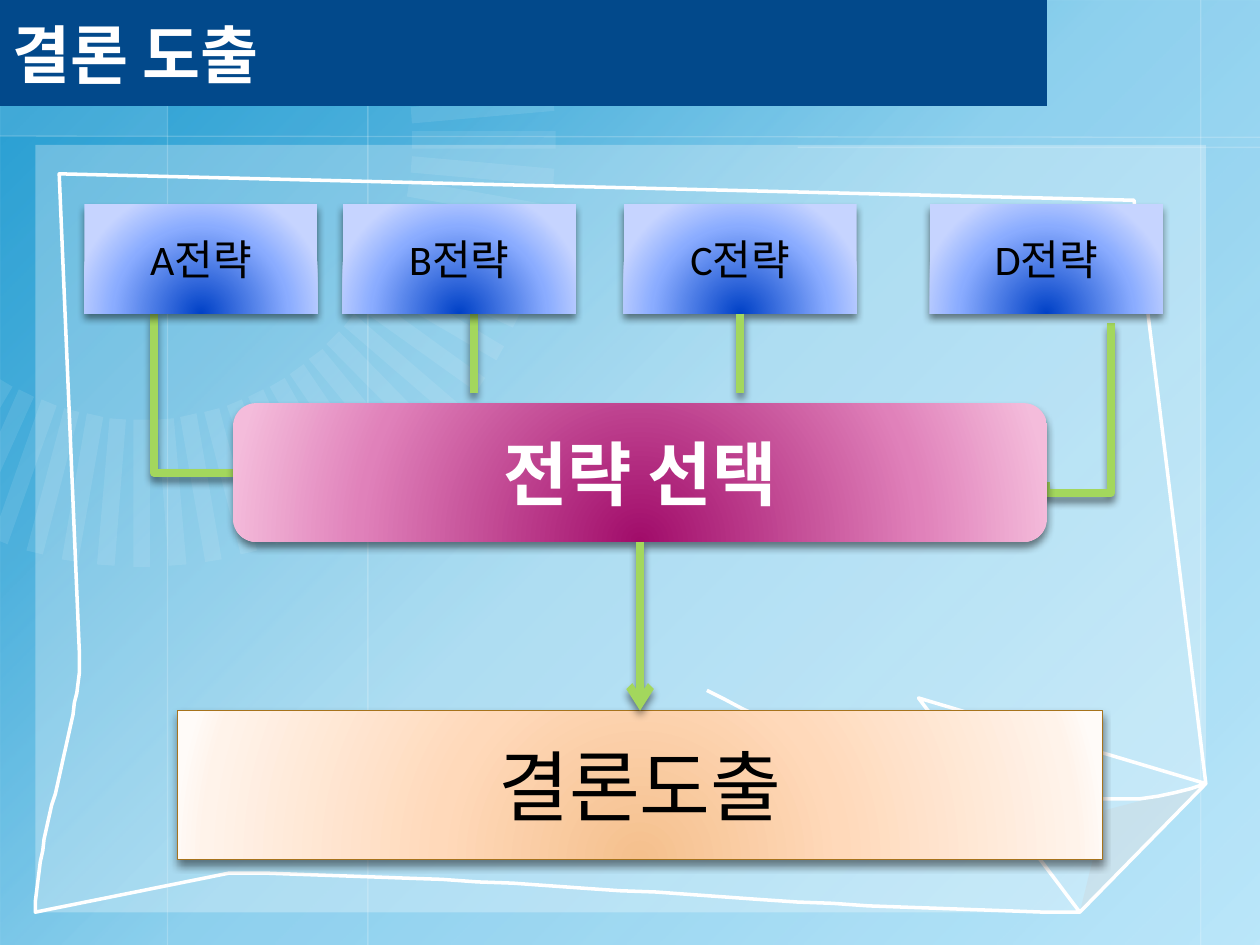
"""Build the strategy selection slide."""
import math
from dataclasses import dataclass
from typing import Any, Optional

from lxml import etree
from pptx import Presentation
from pptx import util as u
from pptx.dml import color
from pptx.enum import shapes, text
from pptx.oxml import ns

PX = 9144
COLORS = {
    "sky": "BCE7FA", "glow": "0F92CC", "white": "FFFFFF", "ray": "F2FAFE",
    "fold": "D0D0D0", "title": "02498B", "link": "A3D75D", "black": "000000",
    "edge": "A7731C",
}
GRADIENTS = {
    "blue": ((0, "0041C7"), (68, "8AACFF"), (100, "C6D4FF")),
    "pink": ((0, "A10C6A"), (68, "E081BA"), (100, "F4BCDB")),
    "peach": ((0, "F5C08D"), (43, "FFD9BA"), (93, "FFF3EA"), (100, "FFFBF8")),
}
FAN = {"center": (112.5, 111), "inner": (214.5, 222), "outer": (328.5, 339)}
RAY_HALF_WIDTH = 6.7
RECT = shapes.MSO_SHAPE.RECTANGLE
ROUNDED = shapes.MSO_SHAPE.ROUNDED_RECTANGLE
STRAIGHT = shapes.MSO_CONNECTOR.STRAIGHT
ELBOW = shapes.MSO_CONNECTOR.ELBOW
Point = tuple[float, float]


@dataclass(frozen=True)
class Box:
    label: str
    left: int
    top: int
    width: int
    height: int
    gradient: str
    size: int = 24
    ink: str = "black"
    bold: bool = False
    kind: Any = RECT
    edge: Optional[str] = None


@dataclass(frozen=True)
class Link:
    start: tuple[int, int]
    end: tuple[int, int]
    rotation: int = 0
    bend: Optional[int] = None


@dataclass(frozen=True)
class Guide:
    start: tuple[int, int]
    end: tuple[int, int]


STRATEGIES = [Box(f"{name}전략", left, 162, 185, 87, "blue")
              for name, left in zip("ABCD", (67, 272, 495, 738))]
CHOICE = Box("전략 선택", 185, 320, 646, 110, "pink", 40, "white", True, ROUNDED)
RESULT = Box("결론도출", 141, 564, 734, 118, "peach", 44, edge="edge")
LINKS = [
    Link((217, 281), (91, 344), 270, 99800),
    Link((376, 249), (376, 312)),
    Link((793, 294), (919, 345), 90, 107200),
]
GUIDES = [Guide((x, 0), (x, 750)) for x in (133, 953, 292)] + [
    Guide((0, 108), (1000, 109)), Guide((633, 117), (1000, 117))]


def add_child(parent: Any, tag: str, **attributes: Any) -> Any:
    """Append a DrawingML element."""
    values = {key: str(value) for key, value in attributes.items()}
    return etree.SubElement(parent, ns.qn(f"a:{tag}"), values)


def add_tint(parent: Any, hex_color: str, alpha: int) -> None:
    """Append a colour with its opacity in percent."""
    tint = add_child(parent, "srgbClr", val=hex_color)
    if alpha < 100:
        add_child(tint, "alpha", val=alpha * 1000)


def paint(fill: Any, name: str, holder: Any, alpha: int = 100) -> None:
    """Give a fill a solid colour, see-through if alpha is below 100."""
    fill.solid()
    fill.fore_color.rgb = color.RGBColor.from_string(COLORS[name])
    if alpha < 100:
        tint = holder.find(f"{ns.qn('a:solidFill')}/{ns.qn('a:srgbClr')}")
        add_child(tint, "alpha", val=alpha * 1000)


def paint_gradient(shape: Any, stops: Any, angle: Optional[int] = None) -> None:
    """Fill a shape with a linear gradient, or a circular one without angle."""
    shape.fill.solid()
    holder = shape._element.spPr
    solid = holder.find(ns.qn("a:solidFill"))
    gradient = etree.Element(ns.qn("a:gradFill"), rotWithShape="1")
    stop_list = add_child(gradient, "gsLst")
    for place, hex_color, *alpha in stops:
        add_tint(add_child(stop_list, "gs", pos=place * 1000), hex_color, *(alpha or [100]))
    if angle is None:
        circle = add_child(gradient, "path", path="circle")
        add_child(circle, "fillToRect", l=50000, t=130000, r=50000, b=-30000)
    else:
        add_child(gradient, "lin", ang=angle * 60000, scaled=0)
    holder.replace(solid, gradient)


def add_shadow(holder: Any) -> None:
    """Put a soft shadow below a shape or connector."""
    effects = holder.find(ns.qn("a:effectLst"))
    shadow = add_child(effects, "outerShdw", blurRad=u.Pt(4.5), dist=u.Pt(3),
                       dir=5400000, rotWithShape=0)
    add_tint(shadow, COLORS["black"], 48)


def add_block(page: Any, left: int, top: int, width: int, height: int, kind: Any = RECT) -> Any:
    """Add a preset shape without line or shadow."""
    block = page.shapes.add_shape(kind, *(n * PX for n in (left, top, width, height)))
    block.shadow.inherit = False
    block.line.fill.background()
    return block


def write(shape: Any, label: str, align: Any, **style: Any) -> None:
    """Write one styled line, centred vertically."""
    frame = shape.text_frame
    for name, value in {"word_wrap": True, "vertical_anchor": text.MSO_ANCHOR.MIDDLE}.items():
        setattr(frame, name, value)
    para = frame.paragraphs[0]
    para.alignment = align
    span = para.add_run()
    span.text = label
    ink = style.pop("ink")
    for name, value in {"name": "Calibri", **style}.items():
        setattr(span.font, name, value)
    span.font.color.rgb = color.RGBColor.from_string(COLORS[ink])


def add_box(page: Any, box: Box) -> Any:
    """Draw a labelled box of the diagram."""
    shape = add_block(page, box.left, box.top, box.width, box.height, box.kind)
    paint_gradient(shape, GRADIENTS[box.gradient])
    if box.edge:
        paint(shape.line.fill, box.edge, None)
        shape.line.width = u.Pt(0.75)
    add_shadow(shape._element.spPr)
    write(shape, box.label, text.PP_ALIGN.CENTER, size=u.Pt(box.size), bold=box.bold, ink=box.ink)
    return shape


def add_line(page: Any, kind: Any, start: Any, end: Any, name: str, width: float,
             alpha: int = 100) -> Any:
    """Draw a connector without shadow."""
    line = page.shapes.add_connector(kind, *(n * PX for n in (*start, *end)))
    line.line.width = u.Pt(width)
    holder = line._element.spPr
    paint(line.line.fill, name, holder.find(ns.qn("a:ln")), alpha)
    add_child(holder, "effectLst")
    return line


def add_link(page: Any, link: Link) -> Any:
    """Draw a green diagram connector."""
    kind = STRAIGHT if link.bend is None else ELBOW
    line = add_line(page, kind, link.start, link.end, "link", 4.5)
    holder = line._element.spPr
    add_shadow(holder)
    if link.bend is not None:
        holder.find(ns.qn("a:xfrm")).set("rot", str(link.rotation * 60000))
        guides = holder.find(f"{ns.qn('a:prstGeom')}/{ns.qn('a:avLst')}")
        add_child(guides, "gd", name="adj1", fmla=f"val {link.bend}")
    return line


def add_outline(page: Any, points: list[Point], name: str, alpha: int) -> None:
    """Draw a filled polygon."""
    builder = page.shapes.build_freeform(*points[0], scale=PX)
    builder.add_line_segments(points[1:], close=True)
    shape = builder.convert_to_shape()
    shape.shadow.inherit = False
    shape.line.fill.background()
    paint(shape.fill, name, shape._element.spPr, alpha)


def curve(a: Point, b: Point, c: Point, d: Point, steps: int = 24) -> list[Point]:
    """Return points along a cubic curve, without its first."""
    spots = [(n / steps, 1 - n / steps) for n in range(1, steps + 1)]
    return [tuple(s**3 * a[i] + 3 * s * s * t * b[i] + 3 * s * t * t * c[i] + t**3 * d[i]
                  for i in (0, 1)) for t, s in spots]


def add_sketch(page: Any) -> None:
    """Draw the hand-drawn white outline of the sheet."""
    points = [(957, 622), (857, 724)]
    points += curve(points[-1], (634, 723), (406, 694), (182, 693)) + [(28, 724)]
    points += curve(points[-1], (28, 664), (64, 578), (63, 518))
    points += [(47, 138), (900, 159), (957, 622)]
    points += curve(points[-1], (869, 659), (671, 608), (561, 548))
    builder = page.shapes.build_freeform(857, 724, scale=PX)
    builder.add_line_segments([(729, 554)] + points, close=False)
    shape = builder.convert_to_shape()
    shape.shadow.inherit = False
    shape.fill.background()
    paint(shape.line.fill, "white", None)
    shape.line.width = u.Pt(2)


def ray(degrees: int) -> list[Point]:
    """Return the corners of one ray of the fan."""
    cos, sin = math.cos(math.radians(degrees)), math.sin(math.radians(degrees))
    x, y = FAN["center"]
    corners = (("inner", -1), ("outer", -1), ("outer", 1), ("inner", 1))
    return [(x + FAN[rim][0] * cos - side * RAY_HALF_WIDTH * sin,
             y + FAN[rim][1] * sin + side * RAY_HALF_WIDTH * cos) for rim, side in corners]


def add_backdrop(page: Any) -> None:
    """Draw the sky, guides, fan and sheet."""
    paint(page.background.fill, "sky", None)
    glow = [(place, COLORS["glow"], alpha)
            for place, alpha in ((6, 83), (26, 63), (50, 27), (100, 0))]
    paint_gradient(add_block(page, 0, 0, 1000, 750), glow, 45)
    corner = add_block(page, 0, 0, 133, 108)
    paint(corner.fill, "white", corner._element.spPr, 10)
    for guide in GUIDES:
        add_line(page, STRAIGHT, guide.start, guide.end, "white", 0.75, 20)
    cut_rays = [[(15, 309), (27, 315), (0, 375), (0, 343)], [(0, 301), (10, 307), (0, 324)]]
    for points in [ray(degrees) for degrees in range(-5, 111, 5)] + cut_rays:
        add_outline(page, points, "ray", 10)
    add_outline(page, [(28, 115), (957, 115), (957, 622), (857, 724), (28, 724)], "white", 29)
    add_outline(page, [(857, 724), (877, 643), (957, 622)], "fold", 29)
    add_sketch(page)


def main() -> None:
    """Build and save the deck."""
    deck = Presentation()
    deck.slide_width, deck.slide_height = 1000 * PX, 750 * PX
    page = deck.slides.add_slide(deck.slide_layouts[6])
    add_backdrop(page)
    title = add_block(page, 0, 0, 831, 84)
    paint(title.fill, "title", None)
    write(title, "결론 도출", text.PP_ALIGN.LEFT, size=u.Pt(36), bold=True, ink="white")
    for link in LINKS:
        add_link(page, link)
    strategies = [add_box(page, box) for box in STRATEGIES]
    result, choice = add_box(page, RESULT), add_box(page, CHOICE)
    drop = add_link(page, Link((588, 249), (588, 312)))
    drop.begin_connect(strategies[2], 2)
    drop.end_x = drop.begin_x
    arrow = add_link(page, Link((508, 430), (508, 564)))
    arrow.begin_connect(choice, 2)
    arrow.end_connect(result, 0)
    add_child(arrow._element.spPr.find(ns.qn("a:ln")), "tailEnd", type="arrow")
    deck.save("out.pptx")


if __name__ == "__main__":
    main()
